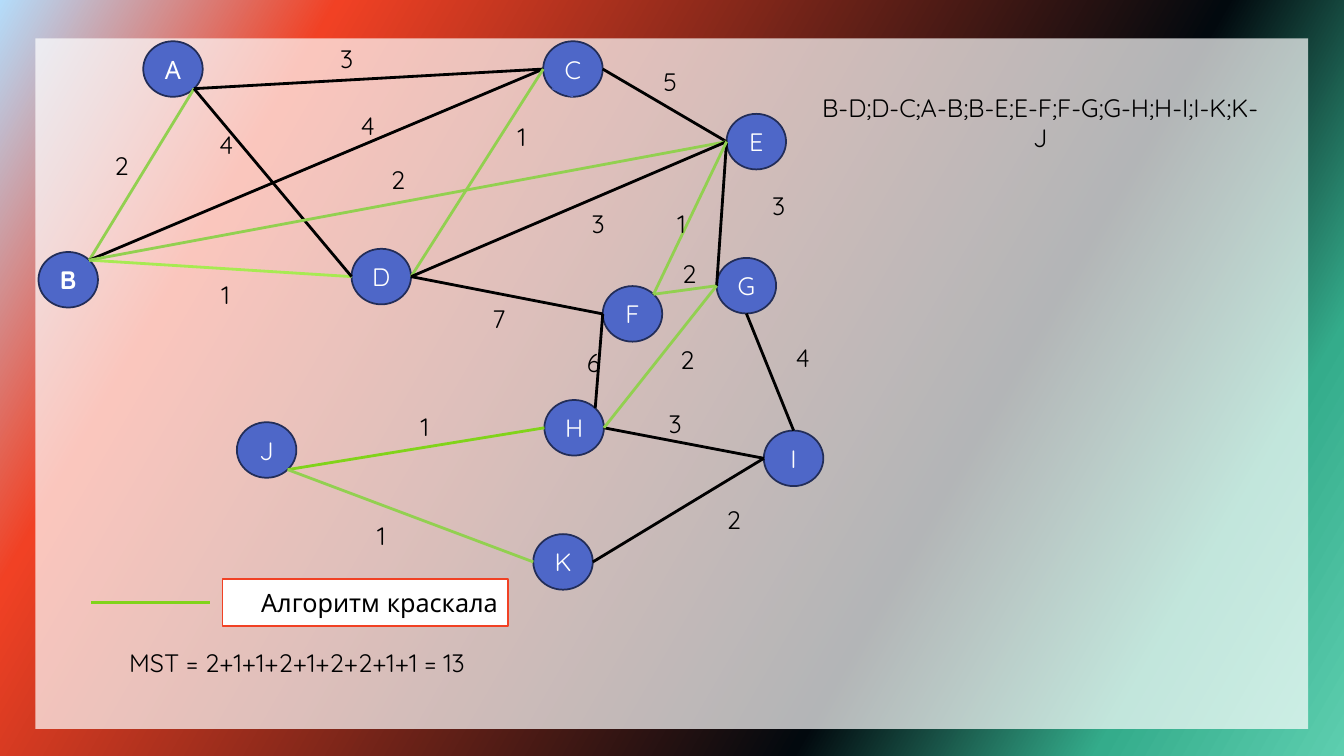
import math
from dataclasses import dataclass

import pptx
import pptx.dml.color
import pptx.enum.shapes
import pptx.enum.text
import pptx.oxml.ns
import pptx.oxml.xmlchemy
import pptx.presentation
import pptx.shapes.autoshape
import pptx.shapes.base
import pptx.slide
import pptx.util
from lxml import etree

Cm, Pt = pptx.util.Cm, pptx.util.Pt
RGBColor = pptx.dml.color.RGBColor
Align = pptx.enum.text.PP_ALIGN
Shape = pptx.enum.shapes.MSO_SHAPE
qn = pptx.oxml.ns.qn

WHITE = RGBColor(0xFF, 0xFF, 0xFF)
BLACK = RGBColor(0x00, 0x00, 0x00)
NODE_BLUE = RGBColor(0x4E, 0x67, 0xC8)
NODE_BORDER = RGBColor(0x22, 0x2D, 0x58)
LEGEND_RED = RGBColor(0xF1, 0x41, 0x24)
TREE_GREEN = RGBColor(0x92, 0xD0, 0x50)
LIGHT_GREEN = RGBColor(0xA7, 0xEA, 0x52)
DEEP_GREEN = RGBColor(0x81, 0xD3, 0x1A)
BACKDROP_STOPS = (
    (0, RGBColor(0x5D, 0xCE, 0xAF)),
    (14, RGBColor(0x34, 0xAC, 0x8B)),
    (31, RGBColor(0x02, 0x09, 0x0E)),
    (81, LEGEND_RED),
    (100, RGBColor(0xB4, 0xDC, 0xFA)),
)
BACKDROP_ANGLE = 210
PANEL_OPACITY = 70

FONT = "Quicksand"
NODE_WIDTH, NODE_HEIGHT = 1.5, 1.4
DIAGONAL = math.sqrt(0.5)
# Direction from a node's centre to each point of its rim
RIM = {
    "left": (-1, 0), "right": (1, 0), "top": (0, -1), "bottom": (0, 1),
    "top right": (DIAGONAL, -DIAGONAL),
    "bottom right": (DIAGONAL, DIAGONAL),
    "bottom left": (-DIAGONAL, DIAGONAL),
}

Point = tuple[float, float]
Box = tuple[float, float, float, float]  # left, top, width, height in cm


@dataclass(frozen=True)
class Node:
    name: str
    left: float
    top: float
    bold: bool = False

    def rim(self, side: str) -> Point:
        dx, dy = RIM[side]
        return (self.left + NODE_WIDTH / 2 * (1 + dx),
                self.top + NODE_HEIGHT / 2 * (1 + dy))


@dataclass(frozen=True)
class Edge:
    start: Node
    start_side: str
    end: Node
    end_side: str
    weight: str
    weight_box: Box
    color: RGBColor = BLACK


A = Node("А", 3.61, 1.04)
B = Node("B", 0.97, 6.35, bold=True)
C = Node("C", 13.69, 1.04)
D = Node("D", 8.86, 6.27)
E = Node("E", 18.31, 2.87)
F = Node("F", 15.19, 7.21)
G = Node("G", 18.06, 6.5)
H = Node("H", 13.72, 10.08)
I = Node("I", 19.25, 10.85)
J = Node("J", 5.97, 10.64)
K = Node("K", 13.44, 13.46)
NODES = (A, G, K, D, B, C, J, H, I, E, F)

EDGES = (
    Edge(A, "bottom right", B, "top right", "2", (2.62, 3.73, 0.89, 0.86), TREE_GREEN),
    Edge(B, "top right", C, "left", "4", (8.76, 2.82, 1.02, 0.66)),
    Edge(A, "bottom right", C, "left", "3", (8.23, 1.04, 1.02, 0.89)),
    Edge(C, "right", E, "left", "5", (16.46, 1.73, 0.86, 0.64)),
    Edge(B, "top right", D, "left", "1", (5.28, 6.99, 0.81, 0.84), LIGHT_GREEN),
    Edge(C, "left", D, "right", "1", (12.78, 3.35, 0.74, 0.2), TREE_GREEN),
    Edge(D, "right", F, "left", "7", (12.09, 7.67, 0.97, 0.69)),
    Edge(G, "left", F, "top right", "2", (16.94, 6.68, 0.86, 0.41), TREE_GREEN),
    Edge(G, "bottom", I, "top", "4", (19.81, 8.64, 0.71, 0.71)),
    Edge(G, "left", E, "left", "3", (19.25, 4.72, 0.46, 0.91)),
    Edge(H, "top right", F, "left", "6", (14.61, 8.89, 0.43, 0.51)),
    Edge(H, "left", J, "bottom right", "1", (10.21, 10.34, 0.99, 0.81), DEEP_GREEN),
    Edge(I, "left", K, "right", "2", (18.06, 12.95, 0.74, 0.28)),
    Edge(J, "bottom right", K, "left", "1", (8.86, 12.95, 1.5, 1.09), TREE_GREEN),
    Edge(A, "bottom right", D, "left", "4", (5.28, 3.35, 0.66, 0.56)),
    Edge(B, "top right", E, "left", "2", (9.6, 4.27, 0.74, 0.48), TREE_GREEN),
    Edge(D, "right", E, "left", "3", (14.48, 5.46, 1.19, 0.36)),
    Edge(E, "left", F, "top right", "1", (16.89, 5.46, 0.43, 0.36), TREE_GREEN),
    Edge(H, "right", I, "left", "3", (16.48, 10.24, 1.07, 0.86)),
    Edge(H, "right", G, "left", "2", (16.89, 8.89, 0.61, 0.36), TREE_GREEN),
)


def paint_backdrop(slide: pptx.slide.Slide) -> None:
    slide.background.fill.gradient()
    gradient = slide.element.find(".//" + qn("a:gradFill"))
    stops = gradient.find(qn("a:gsLst"))
    for stop in list(stops):
        stops.remove(stop)
    for percent, color in BACKDROP_STOPS:
        stop = etree.SubElement(stops, qn("a:gs"), pos=str(percent * 1000))
        etree.SubElement(stop, qn("a:srgbClr"), val=str(color))
    direction = gradient.find(qn("a:lin"))
    direction.set("ang", str(BACKDROP_ANGLE * 60000))
    direction.set("scaled", "0")


def write(shape: pptx.shapes.autoshape.Shape, text: str, color: RGBColor,
          align: Align = Align.CENTER, bold: bool = False) -> None:
    frame = shape.text_frame
    frame.word_wrap = True
    frame.vertical_anchor = pptx.enum.text.MSO_ANCHOR.MIDDLE
    frame.text = text
    paragraph = frame.paragraphs[0]
    paragraph.alignment = align
    paragraph.font.name = FONT
    paragraph.font.size = Pt(18)
    paragraph.font.bold = bold
    paragraph.font.color.rgb = color


def add_filled(slide: pptx.slide.Slide, kind: Shape, box: Box, fill: RGBColor,
               border: RGBColor | None = None) -> pptx.shapes.autoshape.Shape:
    shape = slide.shapes.add_shape(kind, *map(Cm, box))
    shape.shadow.inherit = False
    shape.fill.solid()
    shape.fill.fore_color.rgb = fill
    if border is None:
        shape.line.fill.background()
    else:
        shape.line.color.rgb = border
        shape.line.width = Pt(1.25)
    return shape


def add_panel(slide: pptx.slide.Slide) -> None:
    panel = add_filled(slide, Shape.RECTANGLE, (0.89, 0.97, 32.08, 17.4), WHITE)
    color = panel.element.spPr.find(qn("a:solidFill"))[0]
    etree.SubElement(color, qn("a:alpha"), val=str(PANEL_OPACITY * 1000))


def add_node(slide: pptx.slide.Slide, node: Node) -> None:
    box = (node.left, node.top, NODE_WIDTH, NODE_HEIGHT)
    circle = add_filled(slide, Shape.OVAL, box, NODE_BLUE, NODE_BORDER)
    write(circle, node.name, WHITE, bold=node.bold)


def add_line(slide: pptx.slide.Slide, start: Point, end: Point,
             color: RGBColor, width: float = 2) -> None:
    line = slide.shapes.add_connector(
        pptx.enum.shapes.MSO_CONNECTOR.STRAIGHT, *map(Cm, start + end))
    line.line.color.rgb = color
    line.line.width = Pt(width)
    etree.SubElement(line.element.spPr, qn("a:effectLst"))


def add_label(slide: pptx.slide.Slide, text: str, box: Box) -> None:
    write(slide.shapes.add_textbox(*map(Cm, box)), text, BLACK)


def main() -> None:
    deck = pptx.Presentation()
    deck.slide_width, deck.slide_height = Cm(33.87), Cm(19.05)
    slide = deck.slides.add_slide(deck.slide_layouts[6])
    paint_backdrop(slide)
    add_panel(slide)

    legend = add_filled(slide, Shape.RECTANGLE, (5.61, 14.6, 7.19, 1.17), WHITE, LEGEND_RED)
    write(legend, "Алгоритм краскала", BLACK, Align.RIGHT)
    for node in NODES:
        add_node(slide, node)
    add_line(slide, C.rim("bottom left"), C.rim("bottom"), NODE_BLUE, 0.75)
    for edge in EDGES:
        add_line(slide, edge.start.rim(edge.start_side), edge.end.rim(edge.end_side), edge.color)
    for edge in EDGES:
        add_label(slide, edge.weight, edge.weight_box)
    add_line(slide, (5.28, 15.19), (2.29, 15.19), DEEP_GREEN)

    add_label(slide, "MST = 2+1+1+2+1+2+2+1+1 = 13", (-3.68, 16.1, 22.33, 1.17))
    add_label(slide, "B-D;D-C;A-B;B-E;E-F;F-G;G-H;H-I;I-K;K-J", (20.29, 1.14, 11.86, 3.91))
    deck.save("out.pptx")


if __name__ == "__main__":
    main()
